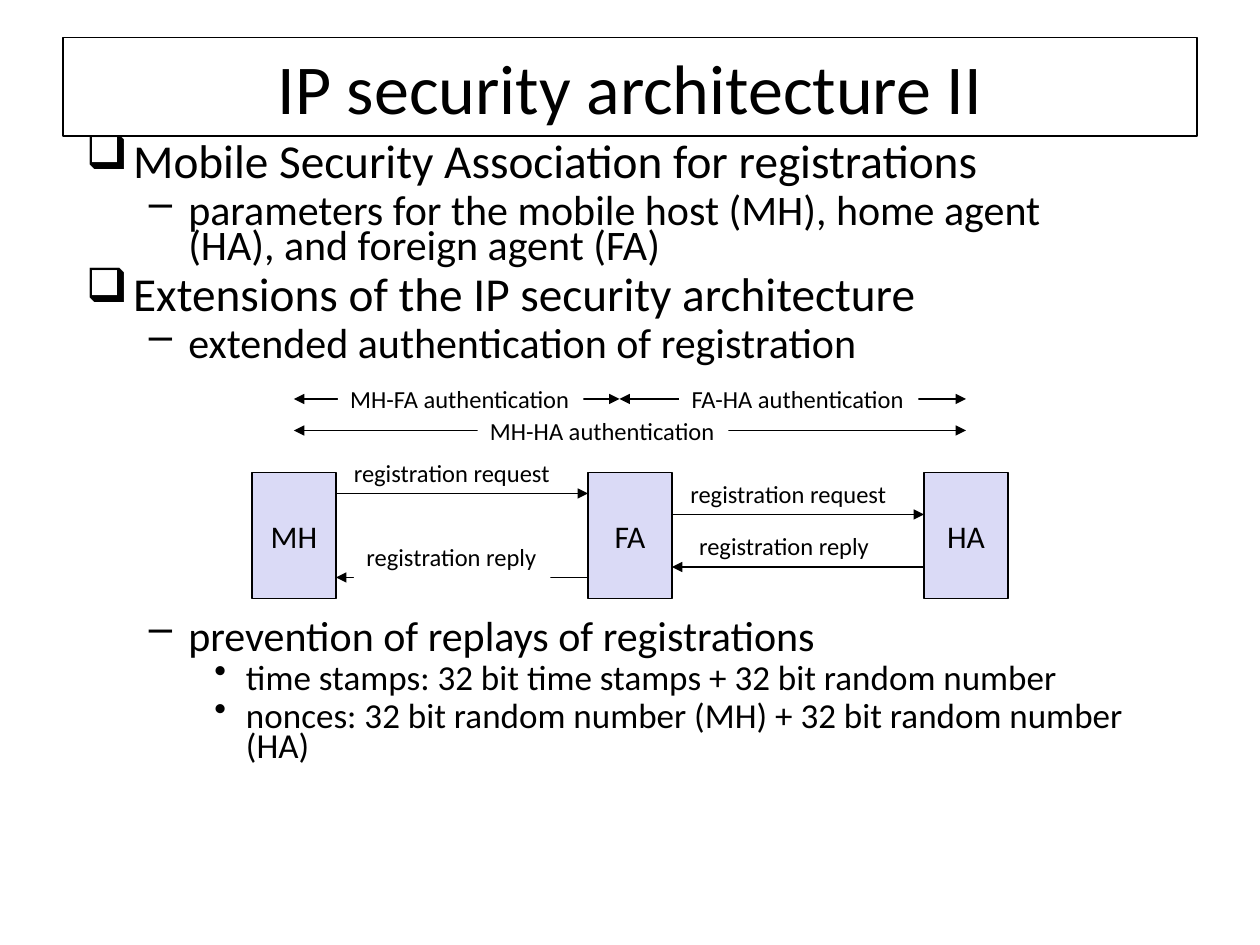
from lxml import etree
from pptx import Presentation
from pptx.dml.color import RGBColor
from pptx.enum.shapes import MSO_CONNECTOR, MSO_SHAPE
from pptx.enum.text import MSO_ANCHOR, PP_ALIGN
from pptx.oxml.ns import qn
from pptx.util import Pt

RECTANGLE = MSO_SHAPE.RECTANGLE
STRAIGHT = MSO_CONNECTOR.STRAIGHT
CENTER = PP_ALIGN.CENTER
MIDDLE = MSO_ANCHOR.MIDDLE

BLACK = RGBColor(0x00, 0x00, 0x00)
WHITE = RGBColor(0xFF, 0xFF, 0xFF)
LAVENDER = RGBColor(0xDA, 0xDA, 0xF6)

# Outline level: bullet, font size, text indent, hanging indent, space before
LEVELS = [
    ("❑", 27, 27, 27, 6.8),
    ("–", 24, 58.5, 22.5, 6),
    ("•", 20, 91.5, 18, 5),
]

ARCHITECTURE = [
    (0, "Mobile Security Association for registrations"),
    (1, "parameters for the mobile host (MH), home agent (HA), and foreign agent (FA)"),
    (0, "Extensions of the IP security architecture"),
    (1, "extended authentication of registration"),
]
REPLAY_PREVENTION = [
    (1, "prevention of replays of registrations"),
    (2, "time stamps: 32 bit time stamps + 32 bit random number"),
    (2, "nonces: 32 bit random number (MH) + 32 bit random number (HA)"),
]

HOST_WIDTH, HOST_HEIGHT, HOST_TOP = 48, 72, 270
HOST_LEFT = {name: 144 + 192 * i for i, name in enumerate(("MH", "FA", "HA"))}
MH_RIGHT, FA_RIGHT = (HOST_LEFT[name] + HOST_WIDTH for name in ("MH", "FA"))
MH_CENTER, HA_CENTER = (HOST_LEFT[name] + HOST_WIDTH / 2 for name in ("MH", "HA"))
AUTHENTICATION_SPLIT = 354

# Left, top, width, text
REQUEST_LABELS = [
    (392.4, 300, 112.3, "registration reply"),
    (387.4, 270, 127.4, "registration request"),
    (195.1, 258, 127.4, "registration request"),
]
ARROW_LABELS = [
    (202.3, 306, 112.3, "registration reply"),
    (272.9, 234, 143.3, "MH-HA authentication"),
    (193, 216, 140.4, "MH-FA authentication"),
    (388.1, 216, 136.8, "FA-HA authentication"),
]

# From x, to x, y, arrowheads at both ends
ARROWS = [
    (MH_RIGHT, HOST_LEFT["FA"], 282, False),
    (HOST_LEFT["FA"], MH_RIGHT, 330, False),
    (HOST_LEFT["HA"], FA_RIGHT, 324, False),
    (FA_RIGHT, HOST_LEFT["HA"], 294, False),
    (MH_CENTER, HA_CENTER, 246, True),
    (MH_CENTER, AUTHENTICATION_SPLIT, 228, True),
    (AUTHENTICATION_SPLIT, HA_CENTER, 228, True),
]


class Deck:
    font = "Calibri"
    line_width = Pt(0.75)

    def __init__(self, slide):
        self.slide = slide

    def style(self, paragraph, size):
        paragraph.font.name = self.font
        paragraph.font.size = Pt(size)
        paragraph.font.color.rgb = BLACK

    def box(self, left, top, width, height, text, size, fill):
        """Outlined rectangle with centred text."""
        shape = self.slide.shapes.add_shape(
            RECTANGLE, Pt(left), Pt(top), Pt(width), Pt(height))
        shape.shadow.inherit = False
        shape.fill.solid()
        shape.fill.fore_color.rgb = fill
        shape.line.color.rgb = BLACK
        shape.line.width = self.line_width
        frame = shape.text_frame
        frame.vertical_anchor = MIDDLE
        frame.word_wrap = False
        paragraph = frame.paragraphs[0]
        paragraph.text = text
        paragraph.alignment = CENTER
        self.style(paragraph, size)

    def label(self, left, top, width, text):
        """Text on a white ground that interrupts the arrow behind it."""
        label = self.slide.shapes.add_textbox(Pt(left), Pt(top), Pt(width), Pt(24.5))
        label.fill.solid()
        label.fill.fore_color.rgb = WHITE
        label.text_frame.word_wrap = False
        paragraph = label.text_frame.paragraphs[0]
        paragraph.text = text
        self.style(paragraph, 14)

    def arrow(self, start, end, y, two_headed):
        arrow = self.slide.shapes.add_connector(
            STRAIGHT, Pt(start), Pt(y), Pt(end), Pt(y))
        arrow.line.color.rgb = BLACK
        arrow.line.width = self.line_width
        line = arrow.line._get_or_add_ln()
        for end_tag in ("a:headEnd", "a:tailEnd") if two_headed else ("a:tailEnd",):
            etree.SubElement(line, qn(end_tag), type="triangle")
        etree.SubElement(arrow._element.spPr, qn("a:effectLst"))

    def outline(self, left, top, width, height, items):
        """Bulleted text; each item is a level and its wording."""
        frame = self.slide.shapes.add_textbox(
            Pt(left), Pt(top), Pt(width), Pt(height)).text_frame
        frame.word_wrap = True
        frame.margin_top = Pt(6)
        for i, (level, text) in enumerate(items):
            bullet, size, indent, hanging, space = LEVELS[level]
            paragraph = frame.add_paragraph() if i else frame.paragraphs[0]
            paragraph.text = text
            paragraph.level = level
            paragraph.line_spacing = 0.7
            paragraph.space_before = Pt(space if i else 0)
            self.style(paragraph, size)
            properties = paragraph._p.get_or_add_pPr()
            properties.set("marL", str(Pt(indent)))
            properties.set("indent", str(-Pt(hanging)))
            mark = etree.Element(qn("a:buChar"), char=bullet)
            properties.find(qn("a:defRPr")).addprevious(mark)


def main():
    presentation = Presentation()
    presentation.slide_width, presentation.slide_height = Pt(720), Pt(540)
    deck = Deck(presentation.slides.add_slide(presentation.slide_layouts[6]))

    deck.outline(42, 78, 604, 132, ARCHITECTURE)
    deck.outline(42, 350, 612, 130, REPLAY_PREVENTION)
    for label in REQUEST_LABELS:
        deck.label(*label)
    deck.box(36, 21.6, 648, 56.2, "IP security architecture II", 40, WHITE)
    for name, left in HOST_LEFT.items():
        deck.box(left, HOST_TOP, HOST_WIDTH, HOST_HEIGHT, name, 18, LAVENDER)
    for arrow in ARROWS:
        deck.arrow(*arrow)
    for label in ARROW_LABELS:
        deck.label(*label)

    presentation.save("out.pptx")


if __name__ == "__main__":
    main()
